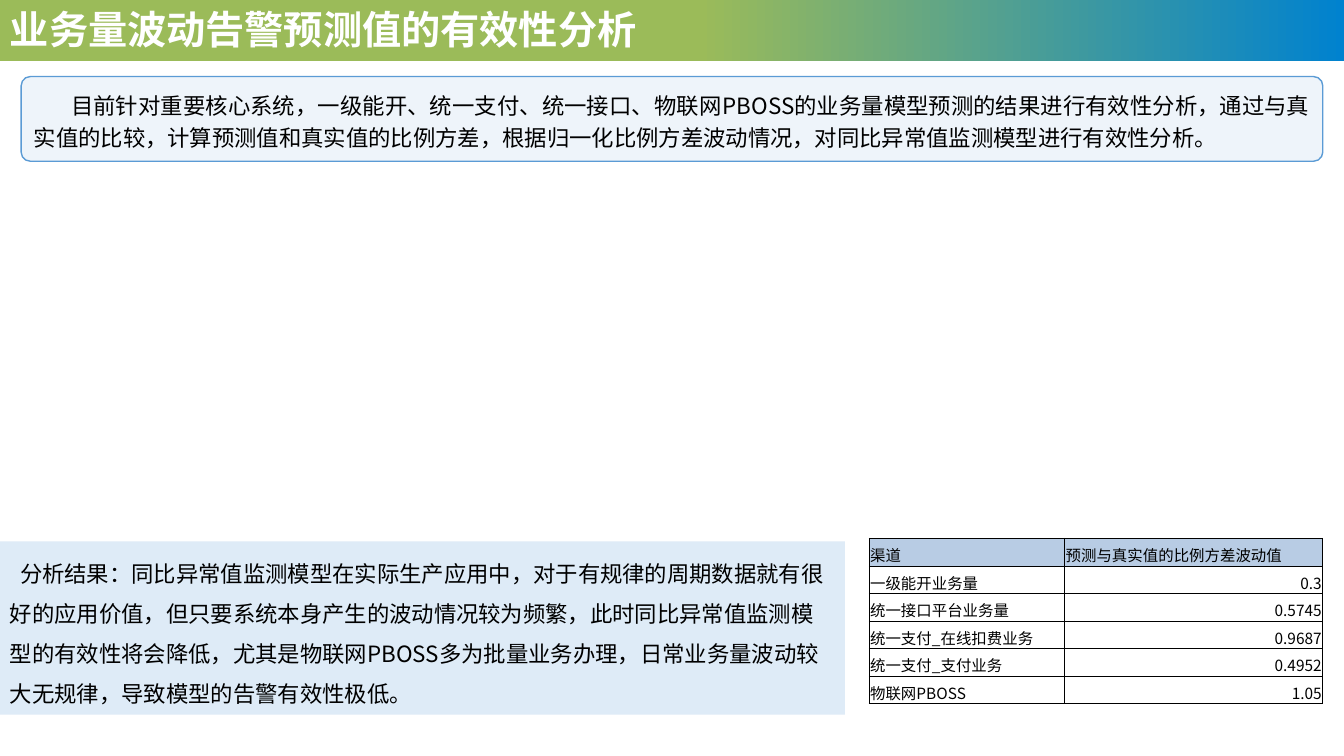
from pptx import Presentation
from pptx.util import Inches, Pt
from pptx.dml.color import RGBColor as RGB
from pptx.enum.shapes import MSO_SHAPE as SHAPE
from pptx.enum.text import MSO_ANCHOR as ANCHOR, PP_ALIGN as ALIGN
from pptx.oxml.ns import qn
from lxml.etree import SubElement


class Theme:
    font = "Noto Sans CJK SC"
    white = RGB.from_string("FFFFFF")
    black = RGB.from_string("000000")
    green = RGB.from_string("9BBB59")
    blue = RGB.from_string("0082CF")
    pale = RGB.from_string("DEEBF7")
    edge = RGB.from_string("5B9BD5")
    head = RGB.from_string("B8CCE4")
    title, body, cell = Pt(28), Pt(16), Pt(11)


def write(frame, text, size, color=Theme.black, align=ALIGN.LEFT, space=None, indent=0):
    para = frame.paragraphs[0]
    para.text = text
    para.alignment = align
    para.line_spacing = space
    font = para.font
    font.name, font.size = Theme.font, size
    font.color.rgb = color
    props = para._p.get_or_add_pPr()
    props.set("marL", "0")
    props.set("indent", str(Inches(indent)))
    SubElement(props.find(qn("a:defRPr")), qn("a:ea"), typeface=Theme.font)
    return font


def panel(kind, left, top, width, height):
    shape = shapes.add_shape(kind, Inches(left), Inches(top), Inches(width), Inches(height))
    shape.shadow.inherit = False
    shape.line.fill.background()
    shape.text_frame.word_wrap = True
    return shape


deck = Presentation()
deck.slide_width, deck.slide_height = Inches(13.33), Inches(7.5)
slide = deck.slides.add_slide(deck.slide_layouts[6])
shapes = slide.shapes

banner = panel(SHAPE.RECTANGLE, 0, 0, 13.33, 0.61)
banner.fill.gradient()
banner.fill.gradient_angle = 0
for stop, (place, color) in zip(banner.fill.gradient_stops, [(0.52, Theme.green), (1, Theme.blue)]):
    stop.position = place
    stop.color.rgb = color

title = shapes.add_textbox(0, 0, Inches(8.72), Inches(0.57)).text_frame
title.word_wrap = True
write(title, "业务量波动告警预测值的有效性分析", Theme.title, Theme.white).bold = True

result = panel(SHAPE.RECTANGLE, 0, 5.37, 8.38, 1.72)
result.fill.solid()
result.fill.fore_color.rgb = Theme.pale
result.text_frame.vertical_anchor = ANCHOR.TOP
write(
    result.text_frame,
    "分析结果：同比异常值监测模型在实际生产应用中，对于有规律的周期数据就有很好的应用价值，"
    "但只要系统本身产生的波动情况较为频繁，此时同比异常值监测模型的有效性将会降低，"
    "尤其是物联网PBOSS多为批量业务办理，日常业务量波动较大无规律，导致模型的告警有效性极低。",
    Theme.body, space=1.5, indent=0.1,
)

intro = panel(SHAPE.ROUNDED_RECTANGLE, 0.21, 0.76, 12.91, 0.84)
intro.adjustments[0] = 0.108
intro.fill.solid()
intro.fill.fore_color.rgb = Theme.pale
tint = intro.fill._xPr.find(qn("a:solidFill"))[0]
SubElement(tint, qn("a:alpha"), val="50000")
intro.line.color.rgb = Theme.edge
intro.line.width = Pt(1)
intro.text_frame.vertical_anchor = ANCHOR.MIDDLE
write(
    intro.text_frame,
    "目前针对重要核心系统，一级能开、统一支付、统一接口、物联网PBOSS的业务量模型预测的结果"
    "进行有效性分析，通过与真实值的比较，计算预测值和真实值的比例方差，"
    "根据归一化比例方差波动情况，对同比异常值监测模型进行有效性分析。",
    Theme.body, align=ALIGN.JUSTIFY, space=1.2, indent=0.37,
)

rows = [
    ("渠道", "预测与真实值的比例方差波动值"),
    ("一级能开业务量", "0.3"),
    ("统一接口平台业务量", "0.5745"),
    ("统一支付_在线扣费业务", "0.9687"),
    ("统一支付_支付业务", "0.4952"),
    ("物联网PBOSS", "1.05"),
]
table = shapes.add_table(
    len(rows), 2, Inches(8.62), Inches(5.34), Inches(4.5), Inches(1.64)
).table
for col, width in zip(table.columns, (1.94, 2.56)):
    col.width = Inches(width)
for r, row in enumerate(rows):
    for c, text in enumerate(row):
        cell = table.cell(r, c)
        cell.vertical_anchor = ANCHOR.BOTTOM
        cell.margin_left = cell.margin_right = cell.margin_top = Inches(0.01)
        cell.margin_bottom = 0
        align = ALIGN.RIGHT if r and c else ALIGN.LEFT
        write(cell.text_frame, text, Theme.cell, align=align)
        props = cell._tc.get_or_add_tcPr()
        for side in ("lnL", "lnR", "lnT", "lnB"):
            line = SubElement(props, qn("a:" + side), w=str(Pt(0.5)))
            SubElement(SubElement(line, qn("a:solidFill")), qn("a:srgbClr"), val=str(Theme.black))
        if r:
            cell.fill.background()
        else:
            cell.fill.solid()
            cell.fill.fore_color.rgb = Theme.head

deck.save("out.pptx")
